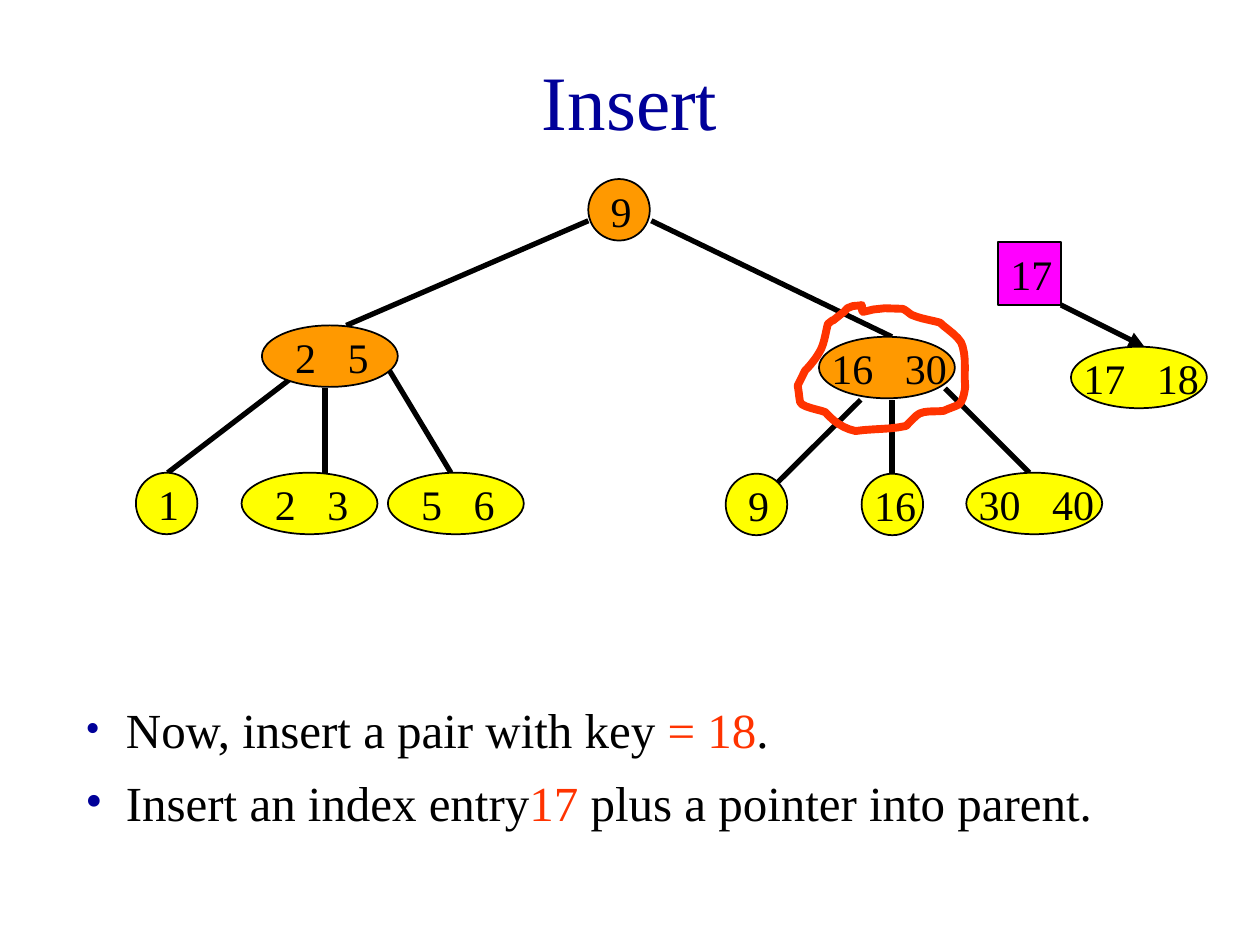
import lxml.etree
import pptx
import pptx.dml.color
import pptx.enum.shapes
import pptx.enum.text
import pptx.oxml.ns
import pptx.util

Cm = pptx.util.Cm
Pt = pptx.util.Pt
RGBColor = pptx.dml.color.RGBColor
SHAPES = pptx.enum.shapes.MSO_SHAPE

NAVY = RGBColor(0x00, 0x00, 0x99)
BLACK = RGBColor(0x00, 0x00, 0x00)
RED = RGBColor(0xFF, 0x33, 0x00)
ORANGE = RGBColor(0xFF, 0x99, 0x00)
YELLOW = RGBColor(0xFF, 0xFF, 0x00)
MAGENTA = RGBColor(0xFF, 0x00, 0xFF)

NODE_HEIGHT = 1.24
NODE_WIDTHS = {1: 1.24, 2: 2.74}
# (key count, digits per key): (label offset, label width) in cm
LABELS = {(1, 1): (0.2, 1.07), (1, 2): (0, 2), (2, 1): (0.42, 2.11), (2, 2): (0, 3.81)}

TREE_NODES = [
    (9.12, 0, ["9"], ORANGE),
    (2.54, 2.95, ["2", "5"], ORANGE),
    (13.77, 3.18, ["16", "30"], ORANGE),
    (0, 5.92, ["1"], YELLOW),
    (2.13, 5.92, ["2", "3"], YELLOW),
    (5.08, 5.92, ["5", "6"], YELLOW),
    (11.89, 5.94, ["9"], YELLOW),
    (14.63, 5.94, ["16"], YELLOW),
    (16.74, 5.92, ["30", "40"], YELLOW),
]
TREE_EDGES = [
    (9.12, 0.84, 4.24, 2.95),
    (10.39, 0.84, 15.24, 3.18),
    (3.4, 3.81, 0.64, 5.92),
    (3.81, 4.22, 3.81, 5.92),
    (5.08, 3.81, 6.35, 5.92),
    (14.61, 4.45, 12.93, 6.12),
    (15.24, 4.45, 15.24, 6.12),
    (16.31, 4.22, 18.01, 5.92),
]
# Bezier curves as two handles and an end, in hundredths of the loop's height
LOOP_START = (51, 0)
LOOP_CURVES = [
    ((48, 1), (44, 0), (41, 2)), ((39, 2), (38, 5), (36, 6)),
    ((20, 19), (34, 7), (24, 15)), ((22, 23), (21, 32), (17, 38)),
    ((14, 43), (10, 48), (6, 52)), ((4, 56), (2, 60), (0, 64)),
    ((1, 68), (1, 72), (2, 77)), ((3, 81), (17, 83), (22, 85)),
    ((28, 92), (36, 98), (46, 100)), ((59, 98), (73, 99), (86, 96)),
    ((89, 93), (91, 91), (94, 88)), ((99, 83), (109, 85), (116, 84)),
    ((120, 82), (124, 81), (128, 79)), ((132, 76), (133, 65), (133, 65)),
    ((132, 54), (134, 43), (131, 33)), ((130, 26), (118, 19), (113, 14)),
    ((106, 12), (98, 11), (91, 8)), ((90, 8), (85, 3), (83, 3)),
    ((50, 0), (51, 12), (51, 0)),
]
CURVE_STEPS = 6


def add_xml(parent, tag, **attributes):
    return lxml.etree.SubElement(parent, pptx.oxml.ns.qn(tag), attributes)


def add_textbox(slide, box, anchor=pptx.enum.text.MSO_ANCHOR.TOP):
    """Add a wrapping text box and return its first paragraph."""
    frame = slide.shapes.add_textbox(*map(Cm, box)).text_frame
    frame.word_wrap = True
    frame.vertical_anchor = anchor
    return frame.paragraphs[0]


def add_run(paragraph, text, size, color):
    run = paragraph.add_run()
    run.text = text
    for name, value in {"name": "Times New Roman", "size": Pt(size)}.items():
        setattr(run.font, name, value)
    run.font.color.rgb = color


def draw_title(slide, box):
    title = add_textbox(slide, box, pptx.enum.text.MSO_ANCHOR.MIDDLE)
    title.alignment = pptx.enum.text.PP_ALIGN.CENTER
    add_run(title, "Insert", 44, NAVY)


def draw_edge(slide, left, top, ends, arrow=False):
    x1, y1, x2, y2 = ends
    edge = slide.shapes.add_connector(
        pptx.enum.shapes.MSO_CONNECTOR.STRAIGHT,
        Cm(left + x1), Cm(top + y1), Cm(left + x2), Cm(top + y2))
    edge.line.color.rgb = BLACK
    edge.line.width = Pt(3)
    if arrow:
        add_xml(edge.line._get_or_add_ln(), "a:tailEnd", type="triangle")
    add_xml(edge._element.spPr, "a:effectLst")


def draw_node(slide, left, top, keys, color, outline=SHAPES.OVAL, size=None):
    width, height = size or (NODE_WIDTHS[len(keys)], NODE_HEIGHT)
    node = slide.shapes.add_shape(outline, Cm(left), Cm(top), Cm(width), Cm(height))
    node.shadow.inherit = False
    node.fill.solid()
    node.fill.fore_color.rgb = color
    node.line.color.rgb = BLACK
    node.line.width = Pt(1)

    digits = len(keys[0])
    offset, label_width = LABELS[len(keys), digits]
    label = add_textbox(slide, (left + offset, top, label_width, 1.27))
    if len(keys) > 1:
        stops = add_xml(label._p.get_or_add_pPr(), "a:tabLst")
        add_xml(stops, "a:tab", pos=str(Cm(0.42 * digits + 0.64)), algn="l")
    add_run(label, "\t".join(keys), 24, BLACK)


def draw_tree(slide, left, top):
    for ends in TREE_EDGES:
        draw_edge(slide, left, top, ends)
    for x, y, keys, color in TREE_NODES:
        draw_node(slide, left + x, top + y, keys, color)


def draw_new_entry(slide, left, top):
    """Draw the index entry and its pointer to the new leaf."""
    draw_node(slide, left, top, ["17"], MAGENTA, SHAPES.RECTANGLE, (1.27, 1.27))
    draw_edge(slide, left, top, (1.27, 1.27, 2.95, 2.11), arrow=True)
    draw_node(slide, left + 1.47, top + 2.11, ["17", "18"], YELLOW)


def draw_parent_loop(slide, left, top, height):
    """Draw the hand-drawn ring around the parent node."""
    def place(x, y):
        return Cm(left + x * height / 100), Cm(top + y * height / 100)

    points = []
    start = LOOP_START
    for handle1, handle2, end in LOOP_CURVES:
        for step in range(1, CURVE_STEPS + 1):
            t = step / CURVE_STEPS
            weights = ((1 - t) ** 3, 3 * t * (1 - t) ** 2, 3 * t * t * (1 - t), t ** 3)
            corners = (start, handle1, handle2, end)
            points.append(place(*(sum(w * c[axis] for w, c in zip(weights, corners))
                                  for axis in (0, 1))))
        start = end
    builder = slide.shapes.build_freeform(*place(*LOOP_START))
    builder.add_line_segments(points, close=True)
    loop = builder.convert_to_shape()
    loop.shadow.inherit = False
    loop.fill.background()
    loop.line.color.rgb = RED
    loop.line.width = Pt(4.5)


def draw_bullet(slide, box, runs, bullet_percent):
    bullet = add_textbox(slide, box)
    properties = bullet._p.get_or_add_pPr()
    properties.set("marL", str(Cm(0.82)))
    properties.set("indent", str(-Cm(0.82)))
    add_xml(add_xml(properties, "a:buClr"), "a:srgbClr", val=str(NAVY))
    add_xml(properties, "a:buSzPct", val=str(bullet_percent * 1000))
    add_xml(properties, "a:buFont", typeface="Times New Roman")
    add_xml(properties, "a:buChar", char="•")
    for text, color in runs:
        add_run(bullet, text, 28, color)


def main():
    deck = pptx.Presentation()
    deck.slide_width, deck.slide_height = Cm(25.4), Cm(19.05)
    slide = deck.slides.add_slide(deck.slide_layouts[6])
    draw_title(slide, (1.9, 0.43, 21.59, 3.18))
    draw_tree(slide, 2.74, 3.61)
    draw_new_entry(slide, 20.12, 4.88)
    draw_parent_loop(slide, 16.08, 6.15, 2.54)
    draw_bullet(slide, (1.47, 13.97, 16.94, 1.45), [
        ("Now, insert a pair with key ", BLACK), ("= 18", RED), (".", BLACK)], 86)
    draw_bullet(slide, (1.47, 15.44, 22.43, 1.45), [
        ("Insert an index entry", BLACK), ("17 ", RED),
        ("plus a pointer into parent.", BLACK)], 100)
    deck.save("out.pptx")


if __name__ == "__main__":
    main()
